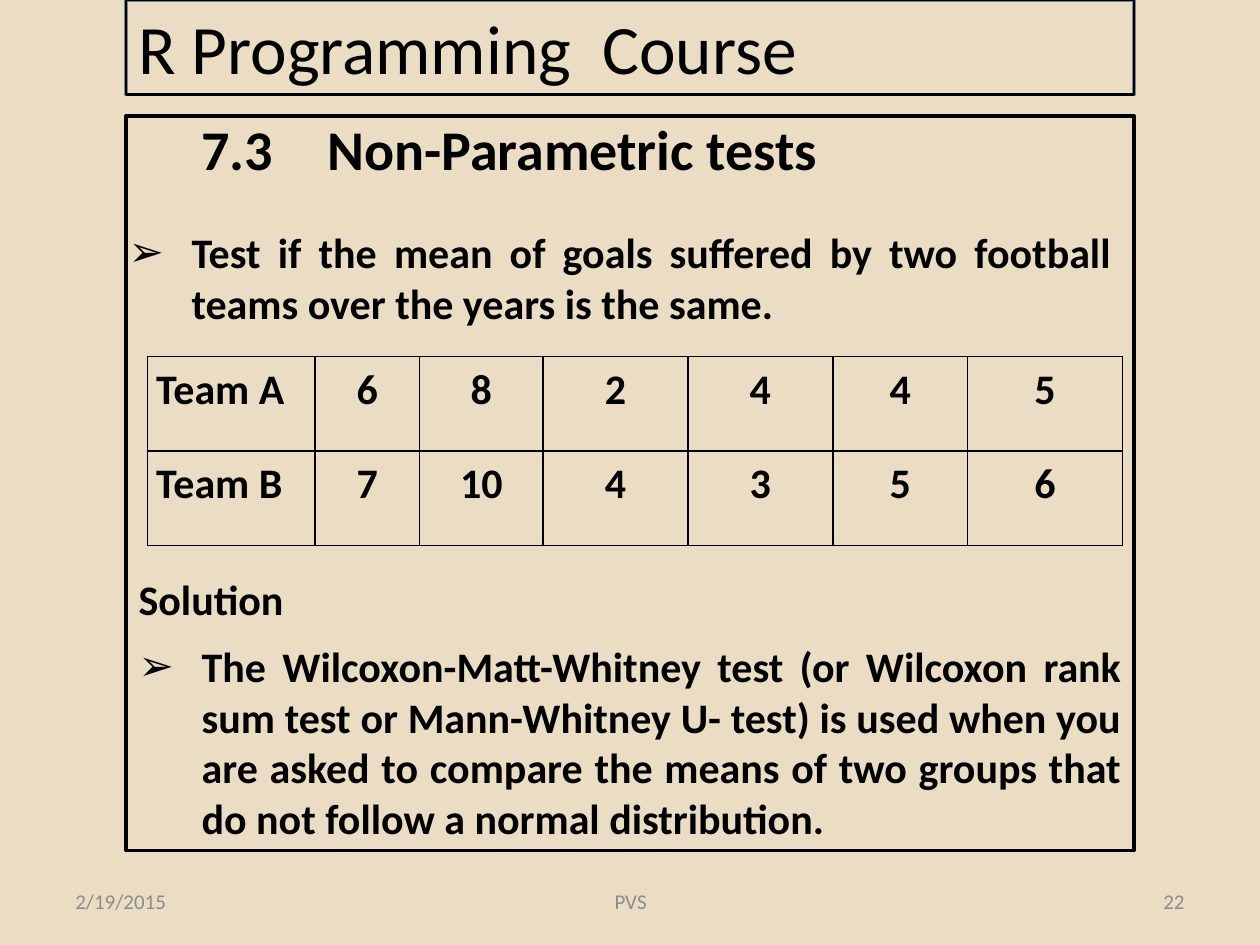
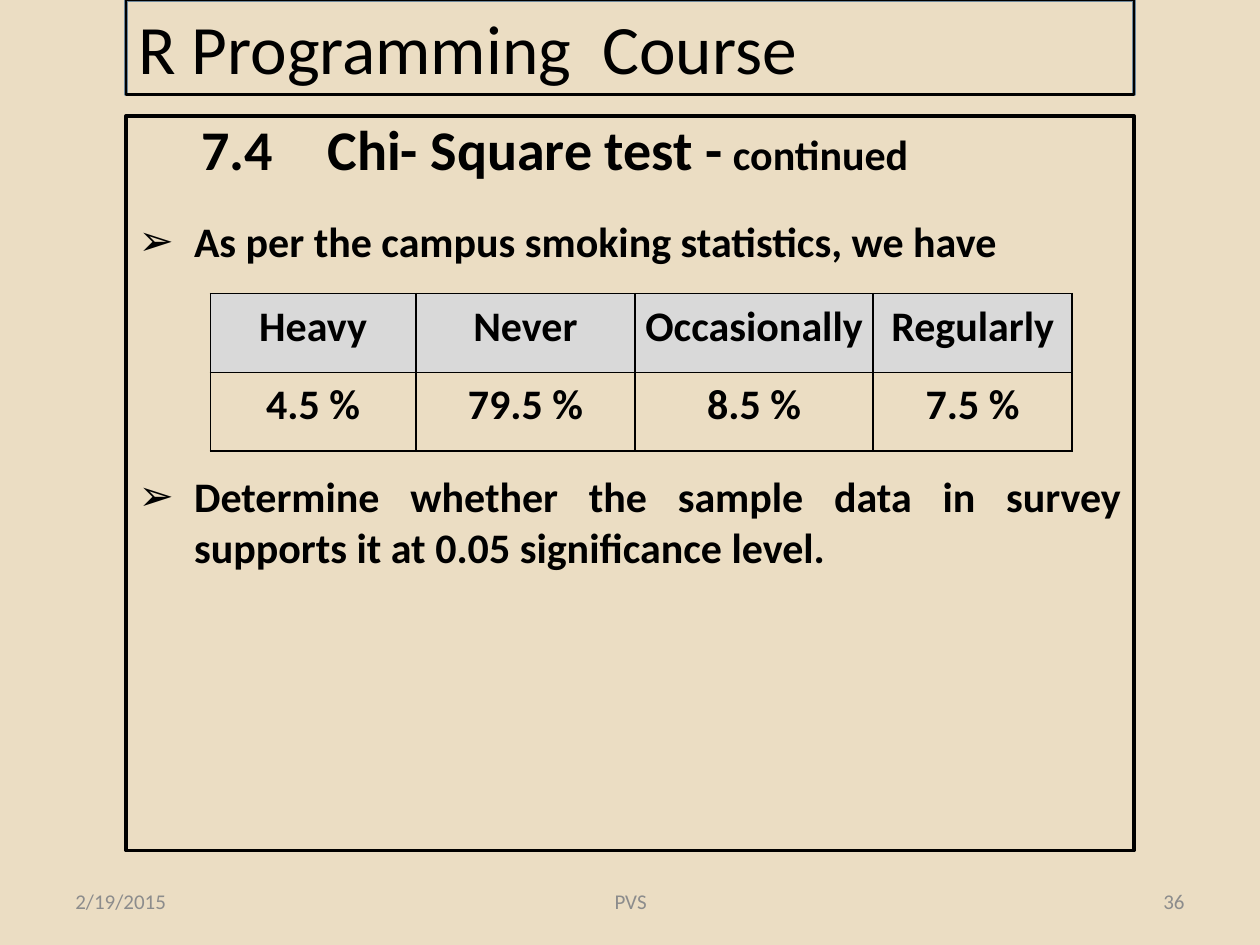
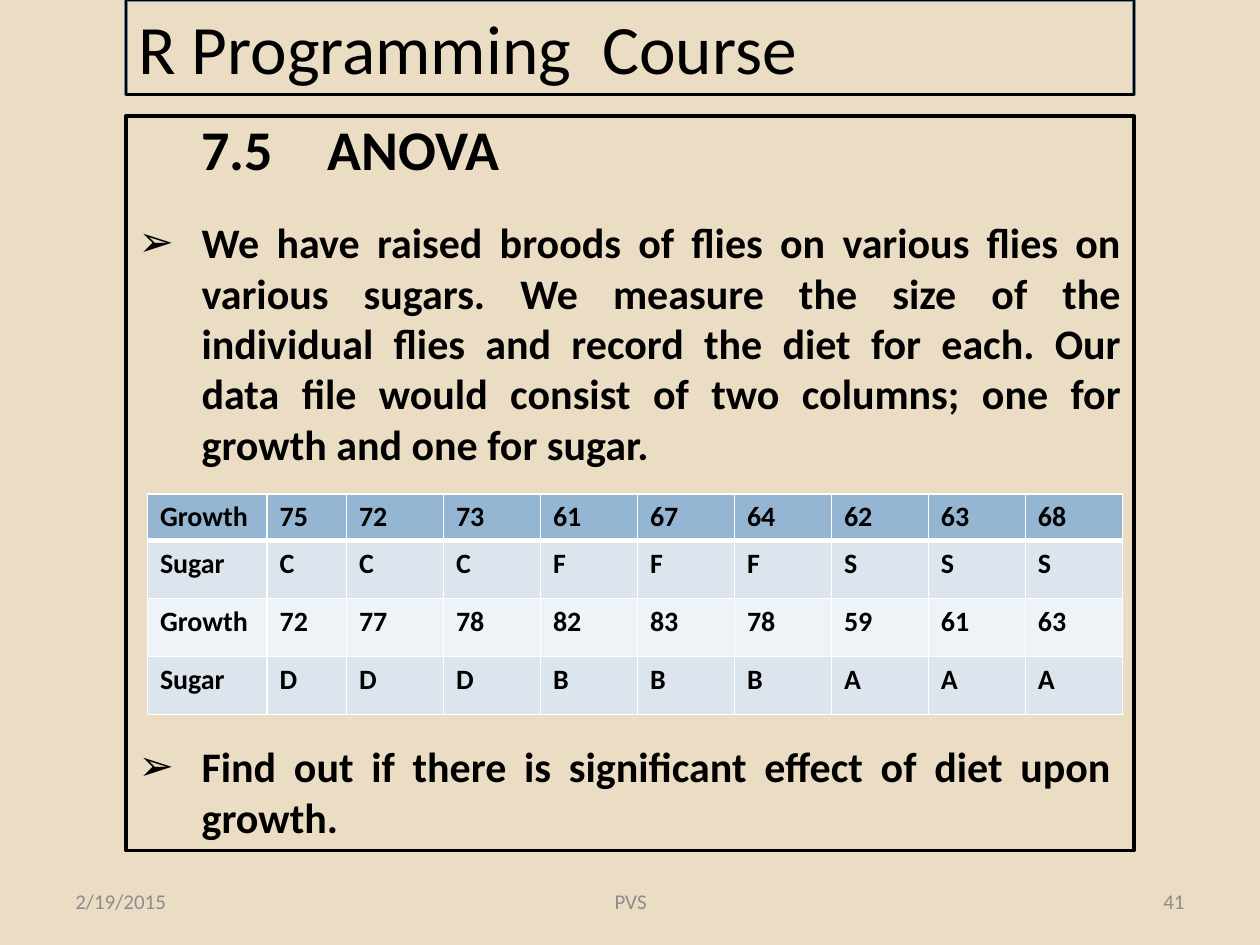
from dataclasses import dataclass

import lxml.etree
import pptx
import pptx.dml.color
import pptx.enum.shapes
import pptx.enum.text
import pptx.oxml
import pptx.oxml.ns
import pptx.util

Inches = pptx.util.Inches
Pt = pptx.util.Pt
ALIGN = pptx.enum.text.PP_ALIGN
ANCHOR = pptx.enum.text.MSO_ANCHOR
qn = pptx.oxml.ns.qn

FONT = "Calibri"
COLORS = {
    "paper": "EBDDC3",
    "ink": "000000",
    "steel": "6D879B",
    "footer": "8C8C8C",
    "grey": "D9D9D9",
    "white": "FFFFFF",
    "header": "94B6D2",
    "band_dark": "DCE5EE",
    "band_light": "EEF3F7",
}
COURSE = "R Programming  Course"
DATE = "2/19/2015"
AUTHOR = "PVS"


@dataclass(frozen=True)
class Area:
    left: float
    top: float
    width: float
    height: float

    def lengths(self) -> tuple:
        return tuple(Inches(n) for n in (self.left, self.top, self.width, self.height))


@dataclass(frozen=True)
class Span:
    text: str
    size: float = 24
    bold: bool = True
    color: str = "ink"


@dataclass(frozen=True)
class Item:
    text: str
    bullet: bool = True
    space_before: float = 0


@dataclass(frozen=True)
class BulletList:
    area: Area
    items: tuple[Item, ...]
    hang: float = 0.5


@dataclass(frozen=True)
class Grid:
    left: float
    top: float
    columns: tuple[float, ...]
    heights: tuple[float, ...]
    rows: tuple[tuple[str, ...], ...]
    fills: tuple[str | None, ...]
    size: float = 24
    border: str = "ink"
    header_rule: float = 1
    first_align: ALIGN = ALIGN.CENTER
    align: ALIGN = ALIGN.CENTER
    margins: tuple[float, float] = (0.07, 0)
    line_spacing: float = 1.15


@dataclass(frozen=True)
class Page:
    number: int
    heading: tuple[Span, ...]
    lists: tuple[BulletList, ...]
    grid: Grid


FRAME = Area(1, 0.92, 8, 5.83)
BANNER = Area(1, 0, 8, 0.75)
HEADING = Area(1, 0.86, 7.92, 0.64)

PAGES = (
    Page(
        22,
        (Span("7.3\tNon-Parametric tests", 32),),
        (
            BulletList(Area(0.92, 1.75, 8, 0.91), (
                Item("Test if the mean of goals suffered by two football teams "
                     "over the years is the same."),
            )),
            BulletList(Area(1, 4.5, 8, 2.26), (
                Item("Solution", bullet=False),
                Item("The Wilcoxon-Matt-Whitney test (or Wilcoxon rank sum test or "
                     "Mann-Whitney U- test) is used when you are asked to compare the "
                     "means of two groups that do not follow a normal distribution.",
                     space_before=9.8),
            )),
        ),
        Grid(
            1.17, 2.83,
            (1.33, 0.83, 0.98, 1.15, 1.15, 1.07, 1.23),
            (0.75, 0.75),
            (("Team A", *"682445"), ("Team B", "7", "10", *"4356")),
            (None, None),
            first_align=ALIGN.LEFT,
        ),
    ),
    Page(
        36,
        (Span("7.4\tChi- Square test -", 32), Span(" continued")),
        (
            BulletList(Area(1, 1.66, 8, 2.93), (
                Item("As per the campus smoking statistics, we have"),
                Item("Determine whether the sample data in survey supports it "
                     "at 0.05 significance level.", space_before=117),
            ), hang=0.44),
        ),
        Grid(
            1.67, 2.33,
            (1.63, 1.74, 1.89, 1.58),
            (0.625, 0.625),
            (("Heavy", "Never", "Occasionally", "Regularly"),
             ("4.5 %", "79.5 %", "8.5 %", "7.5 %")),
            ("grey", None),
        ),
    ),
    Page(
        41,
        (Span("7.5\tANOVA", 32),),
        (
            BulletList(Area(1, 1.67, 8, 2.12), (
                Item("We have raised broods of flies on various flies on various "
                     "sugars. We measure the size of the individual flies and record "
                     "the diet for each. Our data file would consist of two columns; "
                     "one for growth and one for sugar."),
            )),
            BulletList(Area(1, 5.83, 7.92, 0.91), (
                Item("Find out if there is significant effect of diet upon growth."),
            )),
        ),
        Grid(
            1.17, 3.92,
            (0.95, 0.63) + (0.77,) * 8,
            (0.37,) + (0.46,) * 3,
            (
                ("Growth", "75", "72", "73", "61", "67", "64", "62", "63", "68"),
                ("Sugar", *"CCCFFFSSS"),
                ("Growth", "72", "77", "78", "82", "83", "78", "59", "61", "63"),
                ("Sugar", *"DDDBBBAAA"),
            ),
            ("header", "band_dark", "band_light", "band_dark"),
            size=16,
            border="white",
            header_rule=3,
            first_align=ALIGN.LEFT,
            align=ALIGN.LEFT,
            margins=(0.1, 0.05),
            line_spacing=1,
        ),
    ),
)


def rgb(name: str) -> pptx.dml.color.RGBColor:
    return pptx.dml.color.RGBColor.from_string(COLORS[name])


def place(shape, area: Area) -> None:
    shape.left, shape.top, shape.width, shape.height = area.lengths()


def add_span(para, span: Span):
    run = para.add_run()
    run.text = span.text
    run.font.name = FONT
    run.font.size = Pt(span.size)
    run.font.bold = span.bold
    run.font.color.rgb = rgb(span.color)
    return run


def add_line(parent, tag: str, color: str, width: float):
    """Add a solid DrawingML line as the last child and return its colour element."""
    line = lxml.etree.SubElement(parent, qn(tag), w=str(Pt(width)))
    fill = lxml.etree.SubElement(line, qn("a:solidFill"))
    return lxml.etree.SubElement(fill, qn("a:srgbClr"), val=COLORS[color])


def add_frame(slide, area: Area, color: str) -> None:
    """Draw an unfilled rectangle behind the title."""
    frame = slide.shapes.add_shape(
        pptx.enum.shapes.MSO_SHAPE.RECTANGLE, *area.lengths())
    frame.shadow.inherit = False
    frame.fill.background()
    frame.line.color.rgb = rgb(color)
    frame.line.width = Pt(2)
    slide.shapes.title.element.addprevious(frame.element)


def add_text(slide, area: Area, spans: tuple[Span, ...], align=ALIGN.LEFT,
             anchor=ANCHOR.TOP):
    box = slide.shapes.add_textbox(*area.lengths())
    box.text_frame.word_wrap = True
    box.text_frame.vertical_anchor = anchor
    para = box.text_frame.paragraphs[0]
    para.alignment = align
    for span in spans:
        add_span(para, span)
    return para


def set_title(title) -> None:
    place(title, BANNER)
    title.line.color.rgb = rgb("ink")
    title.line.width = Pt(1.5)
    title.text_frame.vertical_anchor = ANCHOR.MIDDLE
    title.text_frame.auto_size = pptx.enum.text.MSO_AUTO_SIZE.NONE
    para = title.text_frame.paragraphs[0]
    para.alignment = ALIGN.LEFT
    run = add_span(para, Span(COURSE, 39.6, bold=False))
    properties = run.font._element
    color = add_line(properties, "a:ln", "steel", 1)
    lxml.etree.SubElement(color, qn("a:alpha"), val="42000")
    properties.insert(0, properties[-1])


def fill_list(body, content: BulletList) -> None:
    place(body, content.area)
    frame = body.text_frame
    frame.auto_size = pptx.enum.text.MSO_AUTO_SIZE.SHAPE_TO_FIT_TEXT
    frame.vertical_anchor = ANCHOR.TOP
    for index, item in enumerate(content.items):
        para = frame.add_paragraph() if index else frame.paragraphs[0]
        para.alignment = ALIGN.JUSTIFY
        para.space_before = Pt(item.space_before)
        properties = para._p.get_or_add_pPr()
        properties.set("marL", str(Inches(content.hang)))
        properties.set("indent", str(-Inches(content.hang)))
        if item.bullet:
            lxml.etree.SubElement(properties, qn("a:buChar"), char="➢")
        else:
            lxml.etree.SubElement(properties, qn("a:buNone"))
        add_span(para, Span(item.text))


def fill_cell(cell, grid: Grid, row: int, column: int) -> None:
    properties = cell._tc.get_or_add_tcPr()
    top = grid.header_rule if row == 1 else 1
    bottom = grid.header_rule if row == 0 else 1
    for side, width in zip("LRTB", (1, 1, top, bottom)):
        add_line(properties, f"a:ln{side}", grid.border, width)
    fill = grid.fills[row]
    if fill:
        cell.fill.solid()
        cell.fill.fore_color.rgb = rgb(fill)
    else:
        cell.fill.background()
    across, down = grid.margins
    cell.margin_left = cell.margin_right = Inches(across)
    cell.margin_top = cell.margin_bottom = Inches(down)
    para = cell.text_frame.paragraphs[0]
    para.alignment = grid.align if column else grid.first_align
    para.line_spacing = grid.line_spacing
    add_span(para, Span(grid.rows[row][column], grid.size))


def add_grid(slide, grid: Grid) -> None:
    area = Area(grid.left, grid.top, sum(grid.columns), sum(grid.heights))
    table = slide.shapes.add_table(
        len(grid.rows), len(grid.columns), *area.lengths()).table
    table.first_row = table.horz_banding = False
    for column, width in zip(table.columns, grid.columns):
        column.width = Inches(width)
    for row, height in zip(table.rows, grid.heights):
        row.height = Inches(height)
    for row in range(len(grid.rows)):
        for column in range(len(grid.columns)):
            fill_cell(table.cell(row, column), grid, row, column)


def add_footers(slide, number: int) -> None:
    for left, width, text, align in (
        (0.5, 2.33, DATE, ALIGN.LEFT),
        (7.17, 2.33, str(number), ALIGN.RIGHT),
        (3.42, 3.17, AUTHOR, ALIGN.CENTER),
    ):
        span = Span(text, 12, bold=False, color="footer")
        add_text(slide, Area(left, 6.95, width, 0.4), (span,), align, ANCHOR.MIDDLE)


def add_page(deck, page: Page) -> None:
    layout = "Title and Content" if len(page.lists) == 1 else "Two Content"
    slide = deck.slides.add_slide(deck.slide_layouts.get_by_name(layout))
    add_frame(slide, FRAME, "ink")
    add_frame(slide, BANNER, "steel")
    set_title(slide.shapes.title)
    heading = add_text(slide, HEADING, page.heading)
    heading._p.get_or_add_pPr().set("marL", str(Inches(0.5)))
    for index, content in enumerate(page.lists, start=1):
        fill_list(slide.placeholders[index], content)
    add_grid(slide, page.grid)
    add_footers(slide, page.number)


def main() -> None:
    deck = pptx.Presentation()
    deck.slide_width, deck.slide_height = Inches(10), Inches(7.5)
    background = deck.slide_master.background.fill
    background.solid()
    background.fore_color.rgb = rgb("paper")
    for page in PAGES:
        add_page(deck, page)
    deck.save("out.pptx")


if __name__ == "__main__":
    main()
